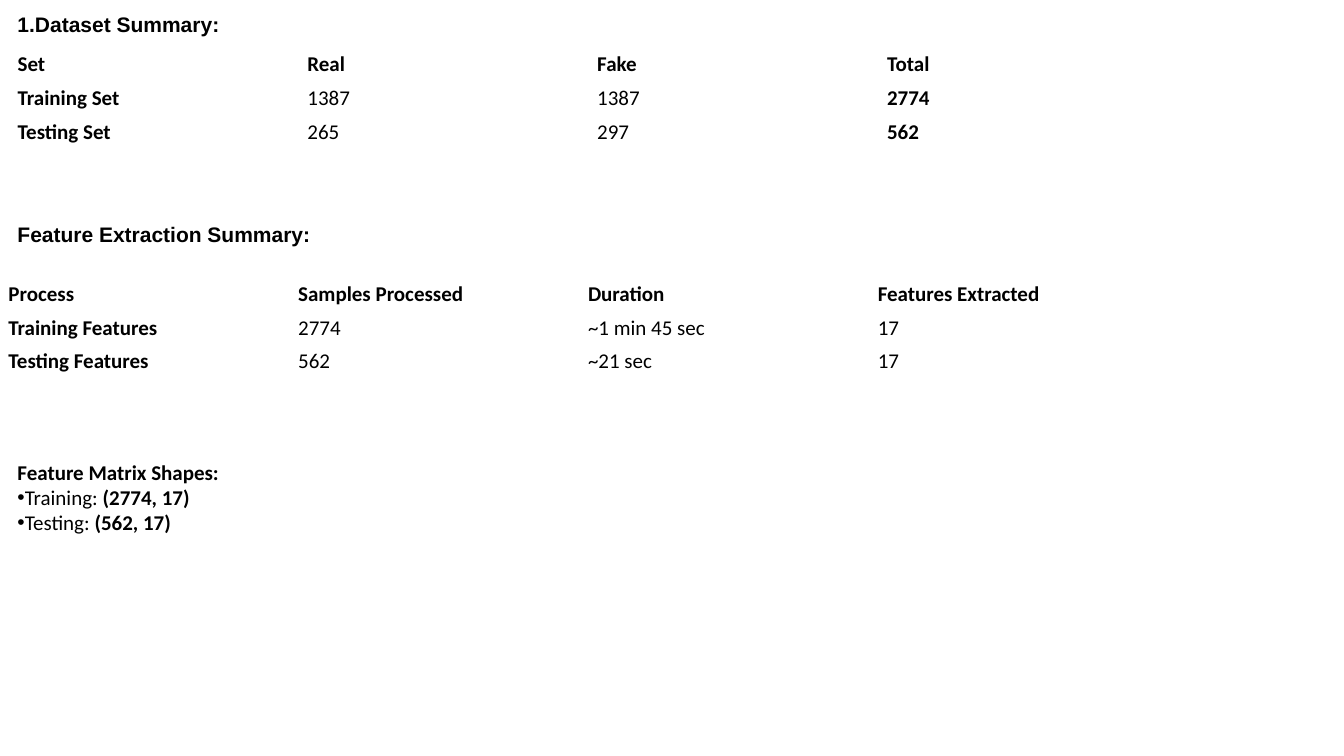
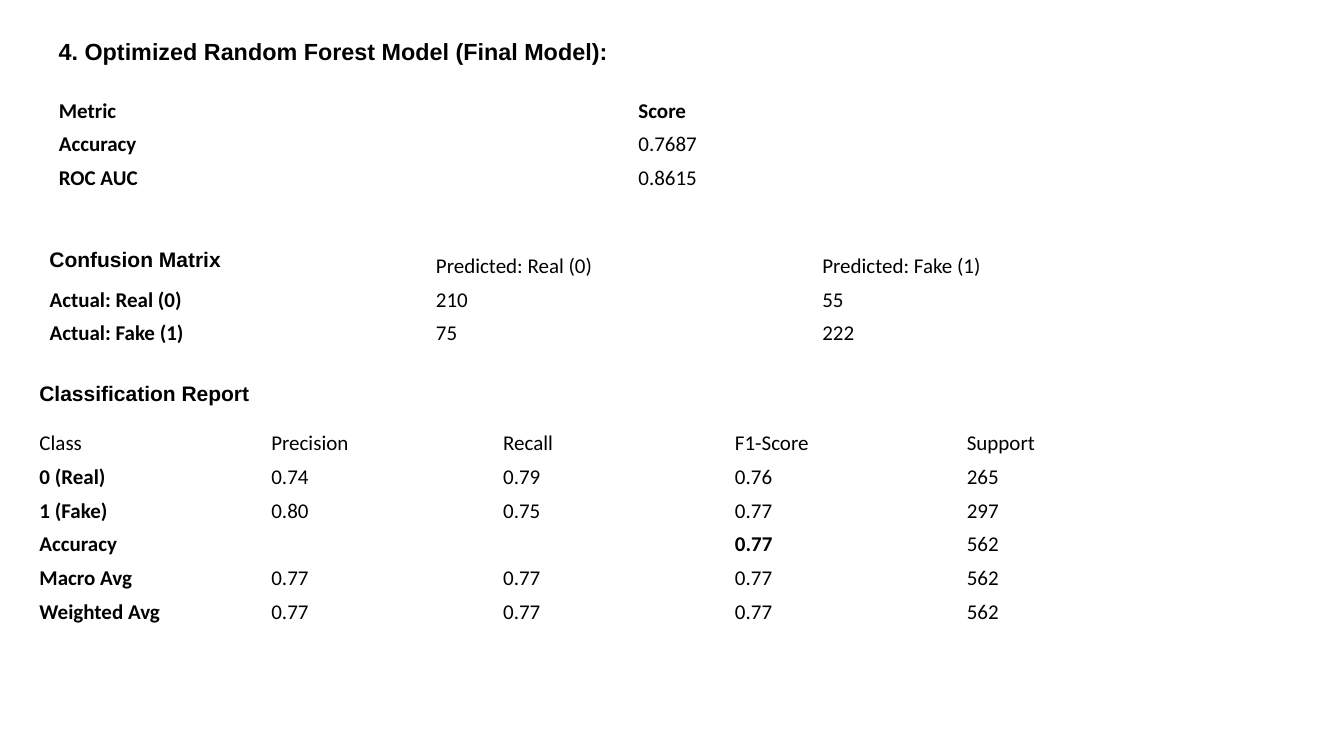
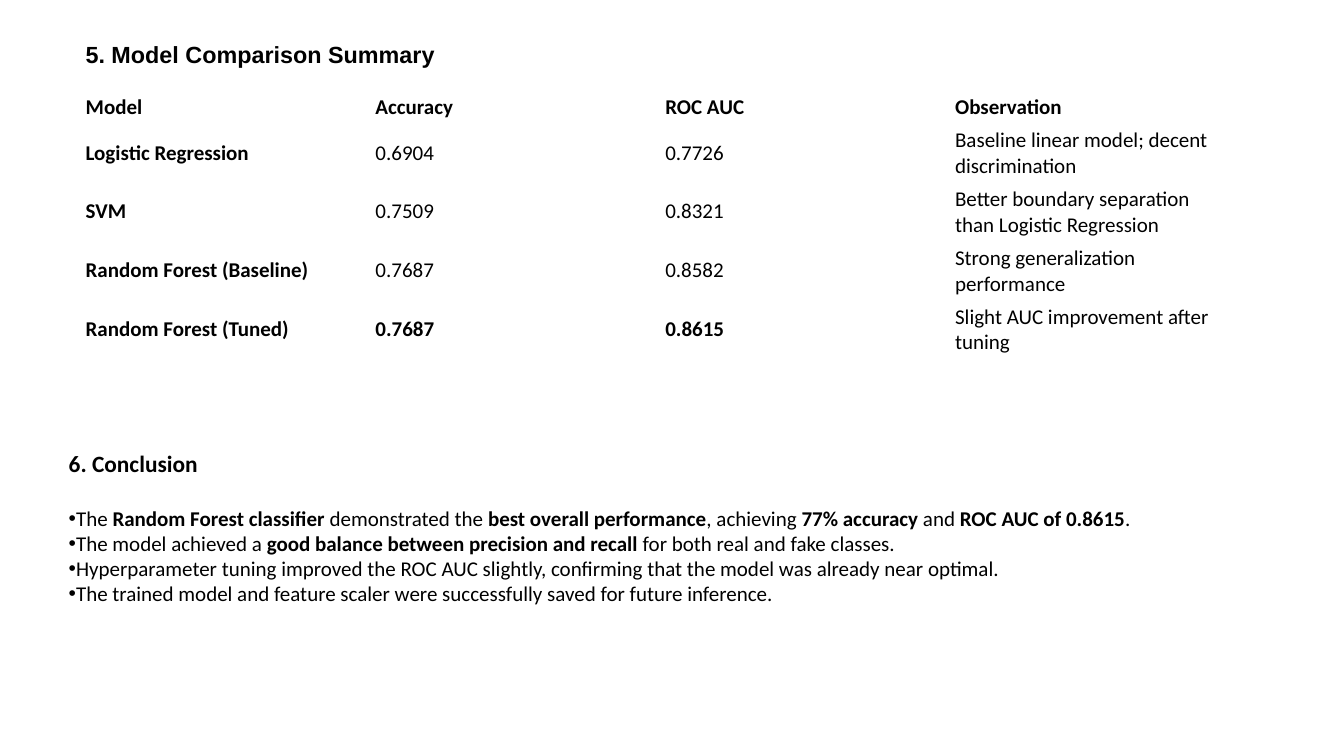
from dataclasses import dataclass

import pptx
import pptx.dml.color
import pptx.enum.text
import pptx.oxml
import pptx.oxml.ns
import pptx.presentation
import pptx.slide
import pptx.text.text
import pptx.util
from pptx.util import Inches

COLORS = {"text": "000000", "background": "FFFFFF"}
HEADING_FONT = "Arial"
BODY_FONT = "Calibri"
TABLE_WIDTH = 13.8
ROW_HEIGHT = 0.4
HEADING_HEIGHT = 0.4
BOLD_MARK = "*"  # text between two marks is bold


@dataclass(frozen=True)
class Heading:
    text: str
    left: float
    top: float
    width: float = TABLE_WIDTH
    size: int = 18


@dataclass(frozen=True)
class Grid:
    left: float
    top: float
    rows: list[list[str]]
    bold_header: bool = True
    body_height: float = ROW_HEIGHT


@dataclass(frozen=True)
class BulletList:
    title: str
    bullets: list[str]
    left: float
    top: float
    width: float
    height: float
    title_size: int = 18
    gap: int = 0


Part = Heading | Grid | BulletList


# Text helpers
def add_text(paragraph: pptx.text.text._Paragraph, text: str,
             font: str = BODY_FONT, size: int = 18) -> None:
    """Add runs, switching bold on and off at each mark."""
    for index, piece in enumerate(text.split(BOLD_MARK)):
        if not piece:
            continue
        run = paragraph.add_run()
        run.text = piece
        values = {"name": font, "size": pptx.util.Pt(size), "bold": index % 2 == 1}
        for name, value in values.items():
            setattr(run.font, name, value)
        run.font.color.rgb = pptx.dml.color.RGBColor.from_string(COLORS["text"])


def bold(text: str) -> str:
    return f"{BOLD_MARK}{text}{BOLD_MARK}"


def add_bullet(paragraph: pptx.text.text._Paragraph) -> None:
    properties = paragraph._p.get_or_add_pPr()
    properties.set("marL", "0")
    properties.set("indent", "0")
    namespace = pptx.oxml.ns.nsdecls("a")
    for element in ('<a:buFont {} typeface="Arial"/>', '<a:buChar {} char="•"/>'):
        properties.append(pptx.oxml.parse_xml(element.format(namespace)))


def add_frame(slide: pptx.slide.Slide, left: float, top: float, width: float,
              height: float, anchor: pptx.enum.text.MSO_ANCHOR) -> pptx.text.text.TextFrame:
    shape = slide.shapes.add_textbox(*map(Inches, (left, top, width, height)))
    frame = shape.text_frame
    for name, value in {"word_wrap": True, "vertical_anchor": anchor}.items():
        setattr(frame, name, value)
    return frame


# Slide parts
def draw_heading(slide: pptx.slide.Slide, heading: Heading) -> None:
    frame = add_frame(slide, heading.left, heading.top, heading.width,
                      HEADING_HEIGHT, pptx.enum.text.MSO_ANCHOR.MIDDLE)
    add_text(frame.paragraphs[0], bold(heading.text), HEADING_FONT, heading.size)


def draw_grid(slide: pptx.slide.Slide, grid: Grid) -> None:
    row_count, column_count = len(grid.rows), len(grid.rows[0])
    heights = [ROW_HEIGHT] + [grid.body_height] * (row_count - 1)
    shape = slide.shapes.add_table(row_count, column_count, Inches(grid.left),
                                   Inches(grid.top), Inches(TABLE_WIDTH),
                                   Inches(sum(heights)))
    table = shape.table
    for name in ("first_row", "horz_banding"):
        setattr(table, name, False)
    for column in table.columns:
        column.width = Inches(TABLE_WIDTH / column_count)
    for row_index, texts in enumerate(grid.rows):
        table.rows[row_index].height = Inches(heights[row_index])
        for column_index, text in enumerate(texts):
            cell = table.cell(row_index, column_index)
            cell.fill.background()
            cell.vertical_anchor = pptx.enum.text.MSO_ANCHOR.MIDDLE
            is_label = grid.bold_header if row_index == 0 else column_index == 0
            add_text(cell.text_frame.paragraphs[0], bold(text) if is_label else text)


def draw_bullet_list(slide: pptx.slide.Slide, block: BulletList) -> None:
    frame = add_frame(slide, block.left, block.top, block.width, block.height,
                      pptx.enum.text.MSO_ANCHOR.TOP)
    add_text(frame.paragraphs[0], bold(block.title), size=block.title_size)
    for index, text in enumerate(block.bullets):
        paragraph = frame.add_paragraph()
        if index == 0 and block.gap:
            paragraph.space_before = pptx.util.Pt(block.gap)
        add_bullet(paragraph)
        add_text(paragraph, text)


DRAWERS = {Heading: draw_heading, Grid: draw_grid, BulletList: draw_bullet_list}

# Slide contents
DATA_SUMMARY: list[Part] = [
    Grid(0.11, 0.56, [
        ["Set", "Real", "Fake", "Total"],
        ["Training Set", "1387", "1387", "*2774*"],
        ["Testing Set", "265", "297", "*562*"],
    ]),
    Heading("1.Dataset Summary:", 0.11, 0.09, 2.7),
    Grid(0, 3.3, [
        ["Process", "Samples Processed", "Duration", "Features Extracted"],
        ["Training Features", "2774", "~1 min 45 sec", "17"],
        ["Testing Features", "562", "~21 sec", "17"],
    ]),
    Heading("Feature Extraction Summary:", 0.11, 2.59, 3.8),
    BulletList("Feature Matrix Shapes:",
               ["Training: *(2774, 17)*", "Testing: *(562, 17)*"],
               0.11, 5.42, 8, 1.01),
]

FINAL_MODEL: list[Part] = [
    Grid(0.6, 1.12, [
        ["Metric", "Score"],
        ["Accuracy", "0.7687"],
        ["ROC AUC", "0.8615"],
    ]),
    Heading("4. Optimized Random Forest Model (Final Model):", 0.6, 0.41, 6.9, 20),
    Grid(0.49, 2.97, [
        ["", "Predicted: Real (0)", "Predicted: Fake (1)"],
        ["Actual: Real (0)", "210", "55"],
        ["Actual: Fake (1)", "75", "222"],
    ], bold_header=False),
    Heading("Confusion Matrix", 0.49, 2.88),
    Grid(0.37, 5.08, [
        ["Class", "Precision", "Recall", "F1-Score", "Support"],
        ["0 (Real)", "0.74", "0.79", "0.76", "265"],
        ["1 (Fake)", "0.80", "0.75", "0.77", "297"],
        ["Accuracy", "", "", "*0.77*", "562"],
        ["Macro Avg", "0.77", "0.77", "0.77", "562"],
        ["Weighted Avg", "0.77", "0.77", "0.77", "562"],
    ], bold_header=False),
    Heading("Classification Report", 0.37, 4.48),
]

COMPARISON: list[Part] = [
    Grid(0.92, 1.07, [
        ["Model", "Accuracy", "ROC AUC", "Observation"],
        ["Logistic Regression", "0.6904", "0.7726",
         "Baseline linear model; decent discrimination"],
        ["SVM", "0.7509", "0.8321",
         "Better boundary separation than Logistic Regression"],
        ["Random Forest (Baseline)", "0.7687", "0.8582",
         "Strong generalization performance"],
        ["Random Forest (Tuned)", "*0.7687*", "*0.8615*",
         "Slight AUC improvement after tuning"],
    ], body_height=0.7),
    Heading("5. Model Comparison Summary", 0.92, 0.45, 4.5, 20),
    BulletList("6. Conclusion", [
        "The *Random Forest classifier* demonstrated the *best overall performance*, "
        "achieving *77% accuracy* and *ROC AUC of 0.8615*.",
        "The model achieved a *good balance between precision and recall* "
        "for both real and fake classes.",
        "Hyperparameter tuning improved the ROC AUC slightly, "
        "confirming that the model was already near optimal.",
        "The trained model and feature scaler were successfully saved "
        "for future inference.",
    ], 0.72, 5.3, 14.83, 1.98, title_size=20, gap=24),
]


def add_slide(presentation: pptx.presentation.Presentation, parts: list[Part]) -> None:
    slide = presentation.slides.add_slide(presentation.slide_layouts[6])
    fill = slide.background.fill
    fill.solid()
    fill.fore_color.rgb = pptx.dml.color.RGBColor.from_string(COLORS["background"])
    for part in parts:
        DRAWERS[type(part)](slide, part)


def main() -> None:
    presentation = pptx.Presentation()
    presentation.slide_width = Inches(16)
    presentation.slide_height = Inches(9)
    for parts in (DATA_SUMMARY, FINAL_MODEL, COMPARISON):
        add_slide(presentation, parts)
    presentation.save("out.pptx")


if __name__ == "__main__":
    main()
